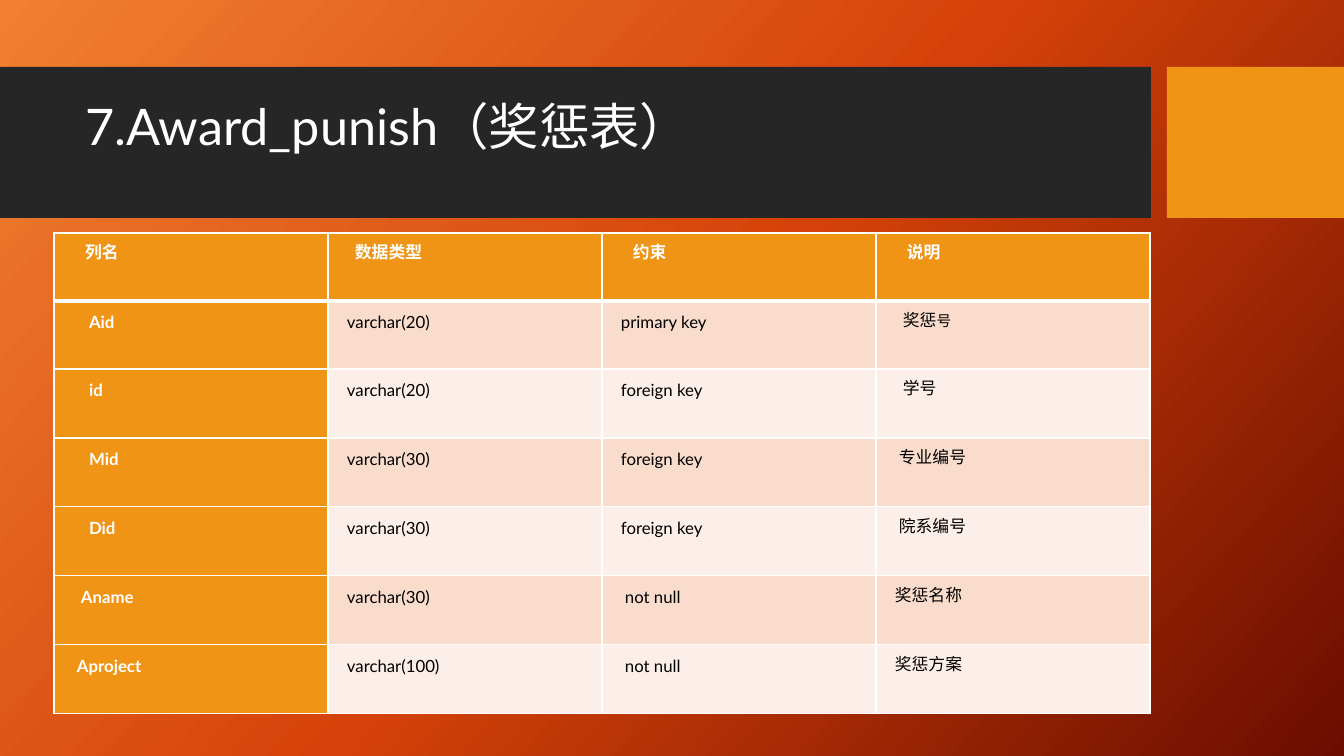
from copy import deepcopy

from lxml import etree
from pptx import Presentation
from pptx import util as u
from pptx.dml.color import RGBColor
from pptx.enum import shapes, text
from pptx.oxml.ns import qn

FONT = "Lato"
WHITE, BLACK, ORANGE, DARK = "FFFFFF", "000000", "F09415", "262626"
BANDS = ["FCEEE8", "F9DCCC"]


def px(n):
    """Turn slide pixels (100.8 to the inch) into EMU."""
    return round(n * 914400 / 100.8)


def rgb(value):
    return RGBColor.from_string(value)


prs = Presentation()
prs.slide_width, prs.slide_height = px(1344), px(756)
s = prs.slides.add_slide(prs.slide_layouts[5])

# Background gradient
fill = s.background.fill
fill.gradient()
fill.gradient_angle = 318
stop_list = s.element.find(".//" + qn("a:gsLst"))
stop_list.append(deepcopy(stop_list[0]))
stops = [(0, "F18031"), (0.5, "D54209"), (1, "6A0D00")]
for stop, (position, color) in zip(fill.gradient_stops, stops):
    stop.position = position
    stop.color.rgb = rgb(color)

# Title with the bars behind it
title = s.shapes.title
title.left, title.top, title.width, title.height = px(75), px(102), px(1059), px(119)
for left, width, color in [(0, 1151, DARK), (1167, 177, ORANGE)]:
    bar = s.shapes.add_shape(shapes.MSO_SHAPE.RECTANGLE, px(left), px(67), px(width), px(151))
    bar.shadow.inherit = False
    bar.fill.solid()
    bar.fill.fore_color.rgb = rgb(color)
    bar.line.fill.background()
    title.element.addprevious(bar.element)

tf = title.text_frame
tf.text = "7.Award_punish（奖惩表）"
tf.auto_size = text.MSO_AUTO_SIZE.NONE
tf.vertical_anchor = text.MSO_ANCHOR.TOP
tf.margin_top = 0
p = tf.paragraphs[0]
p.alignment = text.PP_ALIGN.LEFT
p.line_spacing = 0.9
r = p.runs[0]
r.font.name, r.font.size = FONT, u.Pt(36)
r.font.color.rgb = rgb(WHITE)

# Table: each cell is its text and its indent in px
rows = [
    [("列名", 24), ("数据类型", 20), ("约束", 24), ("说明", 24)],
    [("Aid", 28), ("varchar(20)", 12), ("primary key", 12), ("奖惩号", 20)],
    [("id", 28), ("varchar(20)", 12), ("foreign key", 12), ("学号", 20)],
    [("Mid", 28), ("varchar(30)", 12), ("foreign key", 12), ("专业编号", 16)],
    [("Did", 28), ("varchar(30)", 12), ("foreign key", 12), ("院系编号", 16)],
    [("Aname", 20), ("varchar(30)", 12), ("not null", 16), ("奖惩名称", 12)],
    [("Aproject", 16), ("varchar(100)", 12), ("not null", 16), ("奖惩方案", 12)],
]
table = s.shapes.add_table(len(rows), 4, px(54), px(233), px(1096), px(481)).table
table.first_col = True
for col in table.columns:
    col.width = px(274)

for i, row in enumerate(rows):
    table.rows[i].height = px(68 if i < 2 else 69)
    for j, (words, indent) in enumerate(row):
        cell = table.cell(i, j)
        heading = i == 0 or j == 0
        cell.margin_left = cell.margin_right = px(7)
        cell.margin_top = cell.margin_bottom = 0

        thick = {0: "lnB", 1: "lnT"}.get(i)
        for side in ("lnL", "lnR", "lnT", "lnB"):
            width = u.Pt(3 if side == thick else 1)
            ln = etree.SubElement(cell._tc.get_or_add_tcPr(), qn("a:" + side), w=str(width))
            solid = etree.SubElement(ln, qn("a:solidFill"))
            etree.SubElement(solid, qn("a:srgbClr"), val=WHITE)
        cell.fill.solid()
        cell.fill.fore_color.rgb = rgb(ORANGE if heading else BANDS[i % 2])

        p = cell.text_frame.paragraphs[0]
        p.text = words
        p.alignment = text.PP_ALIGN.JUSTIFY
        p.line_spacing = u.Pt(22)
        p._p.get_or_add_pPr().set("marL", str(px(indent)))
        if words == "奖惩号":
            p.runs[0].text = "奖惩"
            p.add_run().text = "号"
        for r in p.runs:
            r.font.name, r.font.size = FONT, u.Pt(10.5 if r.text == "号" else 12)
            r.font.bold = heading
            r.font.color.rgb = rgb(WHITE if heading else BLACK)

prs.save("out.pptx")
